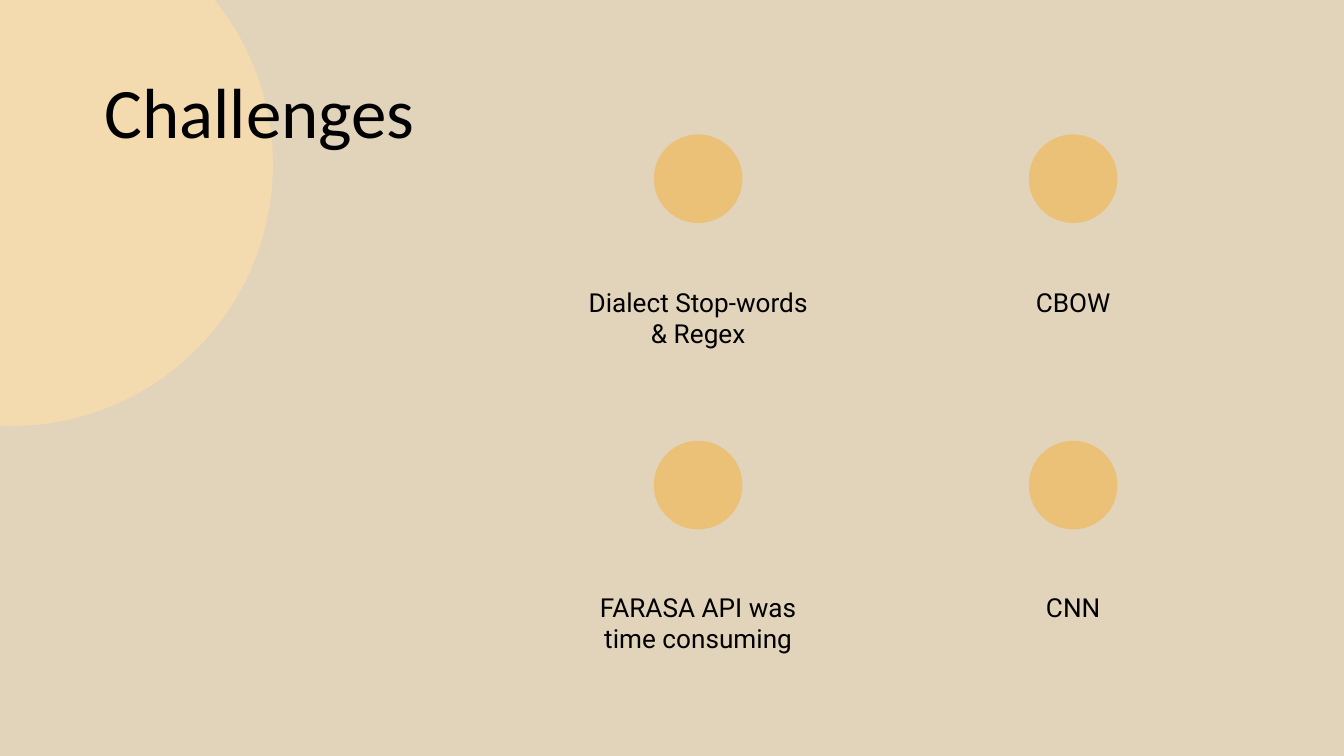
from pptx import Presentation
from pptx.dml.color import RGBColor
from pptx.enum.shapes import MSO_SHAPE
from pptx.enum.text import MSO_ANCHOR, PP_ALIGN
from pptx.util import Inches, Pt

OVAL = MSO_SHAPE.OVAL
TOP = MSO_ANCHOR.TOP
LEFT = PP_ALIGN.LEFT
CENTER = PP_ALIGN.CENTER

SAND = RGBColor(0xE2, 0xD3, 0xBB)
CREAM = RGBColor(0xF3, 0xDA, 0xAF)
AMBER = RGBColor(0xEB, 0xC0, 0x77)
BLACK = RGBColor(0x00, 0x00, 0x00)


def add_circle(slide, left, top, diameter, color):
    circle = slide.shapes.add_shape(
        OVAL, Inches(left), Inches(top), Inches(diameter), Inches(diameter)
    )
    circle.shadow.inherit = False
    circle.fill.solid()
    circle.fill.fore_color.rgb = color
    circle.line.fill.background()


def add_text(slide, left, top, width, height, lines, font_name, size, alignment):
    text_box = slide.shapes.add_textbox(
        Inches(left), Inches(top), Inches(width), Inches(height)
    )
    text_frame = text_box.text_frame
    text_frame.word_wrap = True
    text_frame.vertical_anchor = TOP
    text_frame.margin_left = text_frame.margin_right = Inches(0.1)
    text_frame.margin_top = text_frame.margin_bottom = Inches(0.1)
    for index, line in enumerate(lines):
        paragraph = text_frame.add_paragraph() if index else text_frame.paragraphs[0]
        paragraph.alignment = alignment
        run = paragraph.add_run()
        run.text = line
        run.font.name = font_name
        run.font.size = Pt(size)
        run.font.color.rgb = BLACK


presentation = Presentation()
presentation.slide_width = Inches(10)
presentation.slide_height = Inches(10 * 9 / 16)
slide = presentation.slides.add_slide(presentation.slide_layouts[6])
slide.background.fill.solid()
slide.background.fill.fore_color.rgb = SAND

add_circle(slide, -1.86, -0.72, 3.89, CREAM)
add_text(slide, 0.68, 0.4, 3.15, 0.84, ["Challenges"], "Calibri", 38, LEFT)

challenges = [
    [["Dialect Stop-words", "& Regex"], ["CBOW"]],
    [["FARASA API was time consuming"], ["CNN"]],
]
label_width = 1.99
circle_diameter = 0.66
circle_inset = (label_width - circle_diameter) / 2

for row, labels in enumerate(challenges):
    circle_top = 1 + row * 2.28
    label_top = 2.03 + row * 2.27
    for column, lines in enumerate(labels):
        label_left = 4.2 + column * 2.79
        add_circle(slide, label_left + circle_inset, circle_top, circle_diameter, AMBER)
        add_text(slide, label_left, label_top, label_width, 1.22, lines, "Roboto", 14, CENTER)

presentation.save("out.pptx")
